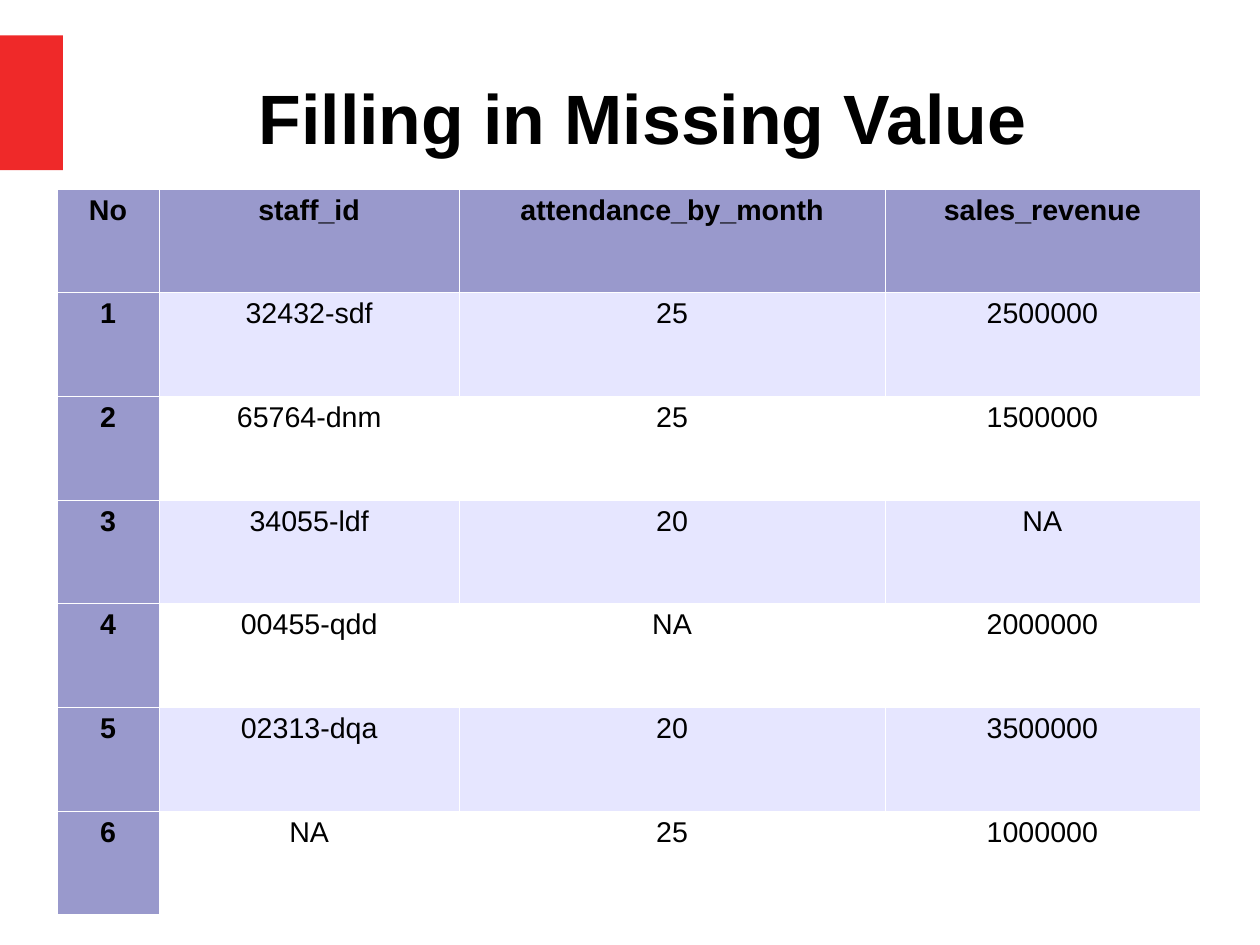
from lxml.etree import SubElement
from pptx import Presentation
from pptx.dml.color import RGBColor
from pptx.enum.shapes import MSO_SHAPE
from pptx.enum.text import MSO_ANCHOR, PP_ALIGN
from pptx.oxml.ns import qn
from pptx.util import Inches, Pt

COLORS = {
    "accent": "EF2929",
    "header": "9999CC",
    "band": "E6E6FF",
    "white": "FFFFFF",
    "text": "000000",
}
ROWS = [
    ["No", "staff_id", "attendance_by_month", "sales_revenue"],
    ["1", "32432-sdf", "25", "2500000"],
    ["2", "65764-dnm", "25", "1500000"],
    ["3", "34055-ldf", "20", "NA"],
    ["4", "00455-qdd", "NA", "2000000"],
    ["5", "02313-dqa", "20", "3500000"],
    ["6", "NA", "25", "1000000"],
]
COLUMN_WIDTHS = [0.89, 2.63, 3.72, 2.76]
TABLE_HEIGHT = 6.35
CM_PER_INCH = 2.54


def write_centered(frame, text, size, bold):
    para = frame.paragraphs[0]
    para.alignment = PP_ALIGN.CENTER
    span = para.add_run()
    span.text = text
    span.font.name = "Arial"
    span.font.size = Pt(size)
    span.font.bold = bold
    span.font.color.rgb = RGBColor.from_string(COLORS["text"])


def add_cell_borders(cell):
    """Put a hairline white border on all four sides; call before filling."""
    properties = cell._tc.get_or_add_tcPr()
    for side in ("a:lnL", "a:lnR", "a:lnT", "a:lnB"):
        line = SubElement(properties, qn(side), w=str(Pt(0.06)))
        fill = SubElement(line, qn("a:solidFill"))
        SubElement(fill, qn("a:srgbClr"), val=COLORS["white"])


# The page measures 28 by 21 cm
deck = Presentation()
deck.slide_width = Inches(28 / CM_PER_INCH)
deck.slide_height = Inches(21 / CM_PER_INCH)
page = deck.slides.add_slide(deck.slide_layouts[5])

# Title and accent block
accent = page.shapes.add_shape(
    MSO_SHAPE.RECTANGLE, Inches(0), Inches(0.31), Inches(0.55), Inches(1.18))
accent.shadow.inherit = False
accent.fill.solid()
accent.fill.fore_color.rgb = RGBColor.from_string(COLORS["accent"])
accent.line.fill.background()

title = page.shapes.title
title.left, title.top = Inches(0.79), Inches(0.33)
title.width, title.height = Inches(9.68), Inches(1.38)
frame = title.text_frame
frame.margin_left = frame.margin_right = Inches(0)
frame.margin_top = frame.margin_bottom = Inches(0)
frame.vertical_anchor = MSO_ANCHOR.MIDDLE
write_centered(frame, "Filling in Missing Value", 44, True)

# Staff table
table = page.shapes.add_table(
    len(ROWS), len(COLUMN_WIDTHS), Inches(0.5), Inches(1.65),
    Inches(sum(COLUMN_WIDTHS)), Inches(TABLE_HEIGHT)).table
table.first_col = True
for column, width in zip(table.columns, COLUMN_WIDTHS):
    column.width = Inches(width)

for row_index, values in enumerate(ROWS):
    table.rows[row_index].height = Inches(TABLE_HEIGHT / len(ROWS))
    for column_index, value in enumerate(values):
        cell = table.cell(row_index, column_index)
        is_header = row_index == 0 or column_index == 0
        if is_header:
            color = COLORS["header"]
        else:
            color = COLORS["band"] if row_index % 2 else COLORS["white"]
        add_cell_borders(cell)
        cell.fill.solid()
        cell.fill.fore_color.rgb = RGBColor.from_string(color)
        write_centered(cell.text_frame, value, 18, is_header)

deck.save("out.pptx")
